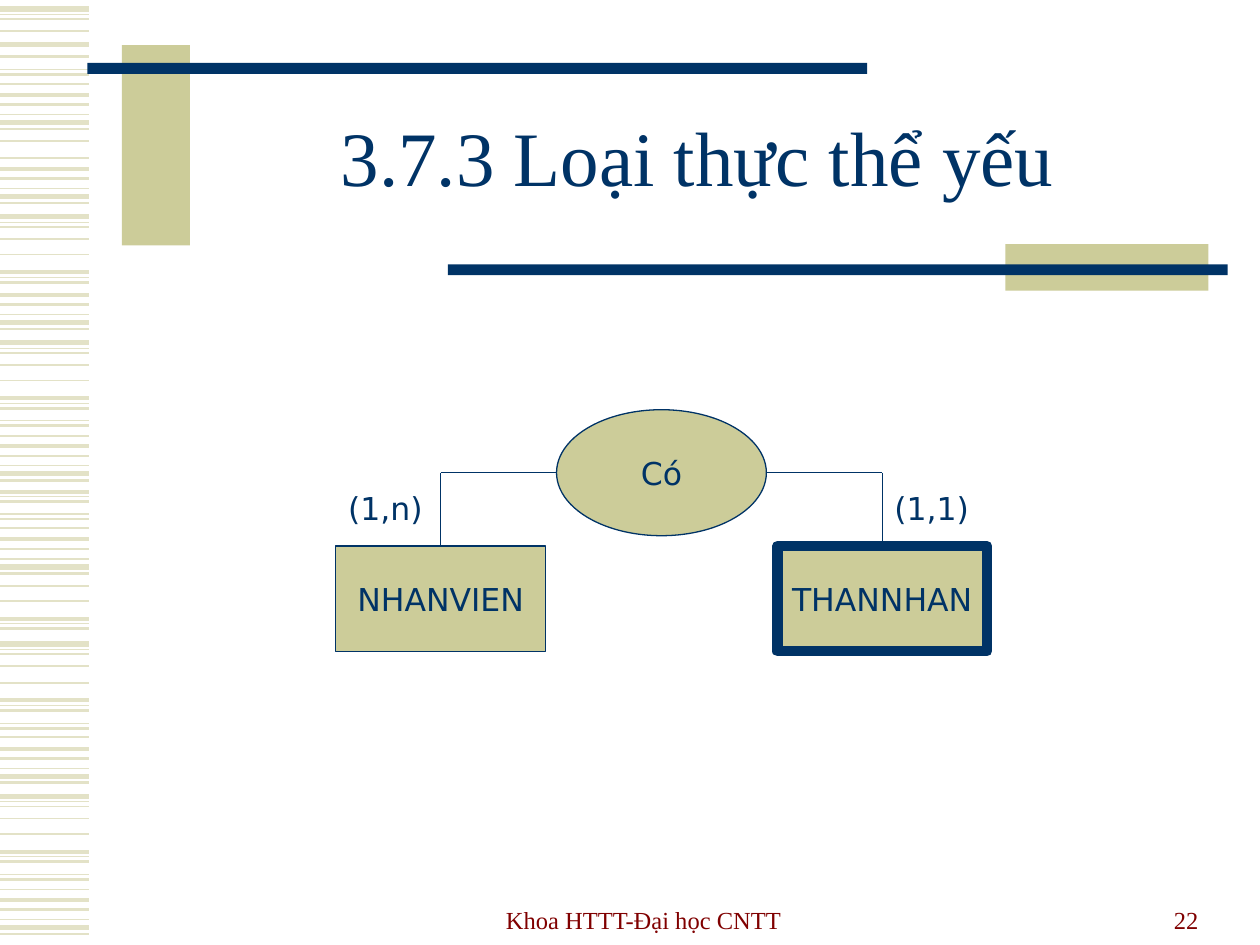
from dataclasses import dataclass

from lxml.etree import SubElement
from pptx import Presentation
from pptx.dml.color import RGBColor
from pptx.enum.shapes import MSO_CONNECTOR as Connector, MSO_SHAPE as Preset
from pptx.enum.text import MSO_ANCHOR as Anchor, MSO_AUTO_SIZE as AutoSize, PP_ALIGN as Align
from pptx.oxml.ns import qn
from pptx.util import Cm, Pt

COLORS = {"navy": "003366", "khaki": "CCCC99", "stripe": "E3E2C7", "maroon": "800000"}
SERIF = "Times New Roman"
SANS = "DejaVu Sans"
STRIPE_LENGTH = 1.8


@dataclass(frozen=True)
class StripeBand:
    stripes: tuple
    tops: tuple


@dataclass(frozen=True)
class Box:
    left: float
    top: float
    width: float
    height: float
    color: str = "khaki"
    preset: Preset = Preset.RECTANGLE
    border: float = 0
    text: str = ""


@dataclass(frozen=True)
class Label:
    text: str
    left: float
    top: float
    width: float
    height: float
    style: dict


STRIPE_BANDS = (
    StripeBand(((0, 3), (0.11, 0.75), (0.21, 1), (0.45, 1)),
               (0.18, 4.37, 6.91, 12.98, 16.05)),
    StripeBand(((0, 2.25), (0.1, 0.75), (0.2, 1.5)),
               (5.49, 8.03, 9.91, 12.47, 14.12, 17.17)),
    StripeBand(((0, 0.75), (0.1, 1.5)), (1.4, 8.48, 10.36, 14.58, 17.63)),
    StripeBand(((0, 2.25), (0.2, 1.5), (0.4, 0.75), (0.56, 3), (0.69, 1.5)),
               (1.91, 3.4, 5.94, 8.99, 10.87, 15.09, 18.14)),
    StripeBand(((0, 1),), (1.7, 2.84, 3.18, 5.13, 7.67, 8.79, 10.64, 11.81,
                           12.12, 13.77, 14.86, 16.81, 17.93)),
    StripeBand(((0, 3), (0.25, 1.5)), (0.89,)),
)

DECORATIONS = (
    Box(2.46, 0.91, 1.37, 4.04),
    Box(1.76, 1.27, 15.72, 0.22, "navy"),
    Box(20.27, 4.92, 4.09, 0.94),
    Box(9.03, 5.33, 15.72, 0.22, "navy"),
)

RELATIONSHIP = Box(11.22, 8.26, 4.23, 2.54, preset=Preset.OVAL, border=0.75, text="Có")
EMPLOYEE = Box(6.77, 11.01, 4.23, 2.12, border=0.75, text="NHANVIEN")
RELATIVE = Box(15.67, 11.01, 4.23, 2.12, border=6, text="THANNHAN")

CARDINALITY = {"size": 18, "font": SANS, "color": "navy"}
FOOTER = {"size": 14, "font": SERIF, "color": "maroon", "anchor": Anchor.BOTTOM}
LABELS = (
    Label("(1,n)", 6.77, 9.74, 2.54, 1.02, CARDINALITY),
    Label("(1,1)", 17.78, 9.74, 2.54, 1.02, CARDINALITY),
    Label("Khoa HTTT-Đại học CNTT", 8.68, 17.7, 8.59, 1.27, {**FOOTER, "align": Align.CENTER}),
    Label("22", 18.31, 17.7, 6.1, 1.27, {**FOOTER, "align": Align.RIGHT}),
)


def rgb(name: str) -> RGBColor:
    return RGBColor.from_string(COLORS[name])


def write_text(shape, text: str, *, size: float, font: str, color: str, align=Align.LEFT,
               anchor=Anchor.TOP, wrap: bool = True, spacing: float = 1.0) -> None:
    frame = shape.text_frame
    frame.auto_size = AutoSize.NONE
    frame.word_wrap = wrap
    frame.vertical_anchor = anchor
    paragraph = frame.paragraphs[0]
    paragraph.alignment = align
    paragraph.line_spacing = spacing
    run = paragraph.add_run()
    run.text = text
    run.font.size = Pt(size)
    run.font.name = font
    run.font.color.rgb = rgb(color)


def draw_line(shapes, start: tuple, end: tuple, color: str, width: float):
    connector = shapes.add_connector(Connector.STRAIGHT, *start, *end)
    connector.line.color.rgb = rgb(color)
    connector.line.width = Pt(width)
    SubElement(connector._element.spPr, qn("a:effectLst"))
    return connector


def draw_band(shapes, band: StripeBand) -> None:
    for top in band.tops:
        for offset, width in band.stripes:
            height = Cm(top + offset)
            draw_line(shapes, (0, height), (Cm(STRIPE_LENGTH), height), "stripe", width)


def draw_box(shapes, box: Box):
    shape = shapes.add_shape(box.preset, Cm(box.left), Cm(box.top), Cm(box.width), Cm(box.height))
    shape.shadow.inherit = False
    shape.fill.solid()
    shape.fill.fore_color.rgb = rgb(box.color)
    if box.border:
        shape.line.color.rgb = rgb("navy")
        shape.line.width = Pt(box.border)
    else:
        shape.line.fill.background()
    if box.text:
        write_text(shape, box.text, size=18, font=SANS, color="navy",
                   align=Align.CENTER, anchor=Anchor.MIDDLE, wrap=False)
    return shape


def draw_label(shapes, label: Label) -> None:
    text_box = shapes.add_textbox(Cm(label.left), Cm(label.top), Cm(label.width), Cm(label.height))
    write_text(text_box, label.text, **label.style)


def link_entity(shapes, relationship, side: int, entity) -> None:
    middle = relationship.top + relationship.height // 2
    corner = (entity.left + entity.width // 2, middle)
    draw_line(shapes, (side, middle), corner, "navy", 0.75)
    drop = draw_line(shapes, corner, (corner[0], entity.top), "navy", 0.75)
    drop.end_connect(entity, 0)


def main() -> None:
    presentation = Presentation()
    presentation.slide_width = Cm(25.4)
    presentation.slide_height = Cm(19.05)
    slide = presentation.slides.add_slide(presentation.slide_layouts[5])
    shapes = slide.shapes

    for band in STRIPE_BANDS:
        draw_band(shapes, band)
    for decoration in DECORATIONS:
        draw_box(shapes, decoration)

    title = shapes.title
    title.left, title.top, title.width, title.height = Cm(3.81), Cm(1.7), Cm(20.5), Cm(3.18)
    write_text(title, "3.7.3 Loại thực thể yếu", size=44, font=SERIF, color="navy",
               align=Align.CENTER, anchor=Anchor.MIDDLE, spacing=0.85)

    relationship = draw_box(shapes, RELATIONSHIP)
    employee = draw_box(shapes, EMPLOYEE)
    relative = draw_box(shapes, RELATIVE)
    link_entity(shapes, relationship, relationship.left, employee)
    link_entity(shapes, relationship, relationship.left + relationship.width, relative)
    for label in LABELS:
        draw_label(shapes, label)

    presentation.save("out.pptx")


if __name__ == "__main__":
    main()
